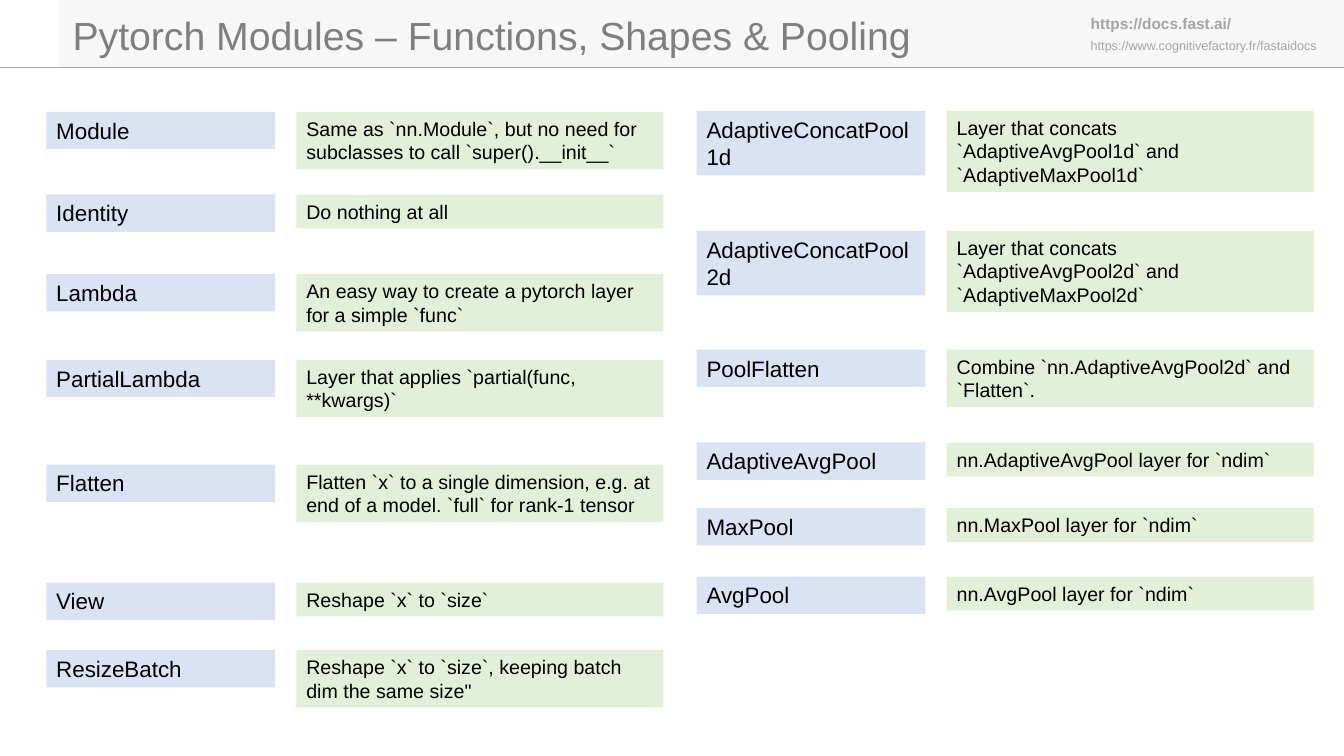
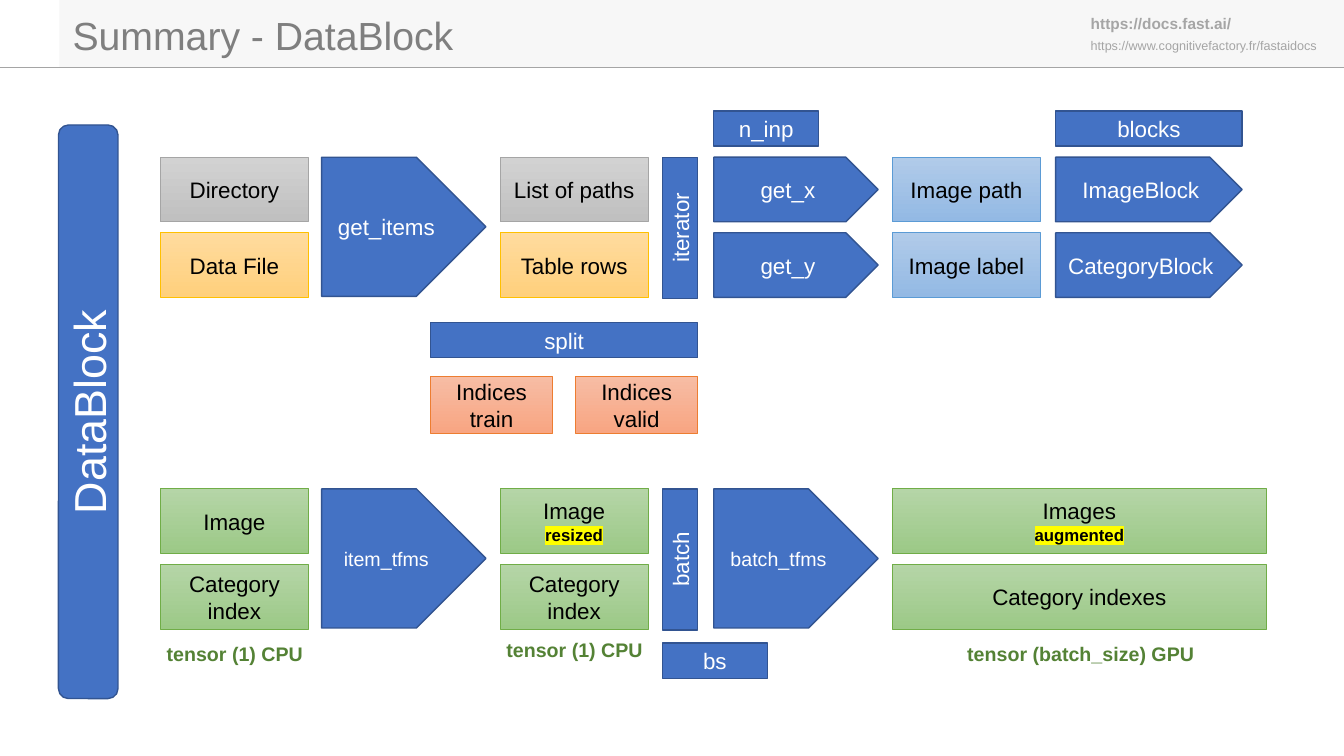
from collections import namedtuple

from lxml.etree import SubElement
from pptx import Presentation
from pptx.dml.color import RGBColor
from pptx.enum.shapes import MSO_CONNECTOR, MSO_SHAPE
from pptx.enum.text import MSO_ANCHOR, MSO_AUTO_SIZE, PP_ALIGN
from pptx.oxml.ns import qn
from pptx.util import Inches, Pt

FONT = "Arial"
BLACK = RGBColor(0x00, 0x00, 0x00)
WHITE = RGBColor(0xFF, 0xFF, 0xFF)
BAND = RGBColor(0xF7, 0xF7, 0xF7)
GRAY = RGBColor(0xA5, 0xA5, 0xA5)
TITLE = RGBColor(0x7F, 0x7F, 0x7F)
PALE = RGBColor(0xDA, 0xE3, 0xF3)
MINT = RGBColor(0xE2, 0xF0, 0xD9)
MOSS = RGBColor(0x54, 0x82, 0x35)
BLUE = RGBColor(0x44, 0x72, 0xC4)
NAVY = RGBColor(0x32, 0x54, 0x91)

Look = namedtuple("Look", "top base edge width ink")
STEP = Look(BLUE, None, NAVY, 1, WHITE)
FILES = Look(RGBColor(0xD2, 0xD2, 0xD2), RGBColor(0xC0, 0xC0, 0xC0), GRAY, 0.5, BLACK)
TABLE = Look(RGBColor(0xFF, 0xDB, 0x9E), RGBColor(0xFF, 0xD0, 0x7C),
             RGBColor(0xFF, 0xC0, 0x00), 0.5, BLACK)
INPUT = Look(RGBColor(0xB1, 0xCB, 0xE9), RGBColor(0x93, 0xB9, 0xE4),
             RGBColor(0x5B, 0x9B, 0xD5), 0.5, BLACK)
INDEX = Look(RGBColor(0xF7, 0xBD, 0xA5), RGBColor(0xF8, 0xA5, 0x82),
             RGBColor(0xED, 0x7D, 0x31), 0.5, BLACK)
TENSOR = Look(RGBColor(0xB5, 0xD5, 0xA7), RGBColor(0x9C, 0xC9, 0x87),
              RGBColor(0x70, 0xAD, 0x47), 0.5, BLACK)
PLAIN = MSO_SHAPE.RECTANGLE
ARROW = MSO_SHAPE.PENTAGON

SHAPES = [
    (1.11, "Module", 1,
     "Same as `nn.Module`, but no need for subclasses to call `super().__init__`", 2),
    (1.93, "Identity", 1, "Do nothing at all", 1),
    (2.72, "Lambda", 1, "An easy way to create a pytorch layer for a simple `func`", 2),
    (3.57, "PartialLambda", 1, "Layer that applies `partial(func, **kwargs)`", 2),
    (4.61, "Flatten", 1,
     "Flatten `x` to a single dimension, e.g. at end of a model. "
     "`full` for rank-1 tensor", 2),
    (5.78, "View", 1, "Reshape `x` to `size`", 1),
    (6.45, "ResizeBatch", 1,
     "Reshape `x` to `size`, keeping batch dim the same size\"", 2),
]
POOLS = [
    (1.1, "AdaptiveConcatPool1d", 2,
     "Layer that concats `AdaptiveAvgPool1d` and `AdaptiveMaxPool1d`", 3),
    (2.29, "AdaptiveConcatPool2d", 2,
     "Layer that concats `AdaptiveAvgPool2d` and `AdaptiveMaxPool2d`", 3),
    (3.47, "PoolFlatten", 1, "Combine `nn.AdaptiveAvgPool2d` and `Flatten`.", 2),
    (4.39, "AdaptiveAvgPool", 1, "nn.AdaptiveAvgPool layer for `ndim`", 1),
    (5.04, "MaxPool", 1, "nn.MaxPool layer for `ndim`", 1),
    (5.72, "AvgPool", 1, "nn.AvgPool layer for `ndim`", 1),
]


def place(at):
    """Turn left, top, width and height in inches into lengths."""
    return [Inches(part) for part in at]


def style(para, size, ink, bold=False, align=PP_ALIGN.LEFT):
    """Set the font and alignment of one paragraph."""
    para.alignment = align
    para.font.name = FONT
    para.font.size = Pt(size)
    para.font.bold = bold
    para.font.color.rgb = ink


def label(slide, at, text, size, ink, bold=False, align=PP_ALIGN.LEFT, wrap=True):
    """Add a text box of one paragraph."""
    item = slide.shapes.add_textbox(*place(at))
    item.text_frame.word_wrap = wrap
    item.text_frame.text = text
    style(item.text_frame.paragraphs[0], size, ink, bold, align)
    return item


def panel(slide, at, fill, text="", size=14):
    """Add a flat rectangle with text at its top left."""
    item = slide.shapes.add_shape(PLAIN, *place(at))
    item.shadow.inherit = False
    item.fill.solid()
    item.fill.fore_color.rgb = fill
    item.line.fill.background()
    frame = item.text_frame
    frame.vertical_anchor = MSO_ANCHOR.TOP
    frame.text = text
    style(frame.paragraphs[0], size, BLACK)
    return item


def mark(para):
    """Put a yellow highlight behind a paragraph's runs."""
    for run in para.runs:
        light = SubElement(run._r.get_or_add_rPr(), qn("a:highlight"))
        SubElement(light, qn("a:srgbClr"), val="FFFF00")


def box(slide, at, text, look=STEP, kind=PLAIN, size=16, turn=0, tag=None):
    """Add an outlined shape with centred text and an optional marked tag."""
    item = slide.shapes.add_shape(kind, *place(at))
    item.shadow.inherit = False
    item.rotation = turn
    if look.base is None:
        item.fill.solid()
        item.fill.fore_color.rgb = look.top
    else:
        item.fill.gradient()
        item.fill.gradient_angle = 270
        for stop, ink in zip(item.fill.gradient_stops, (look.top, look.base)):
            stop.color.rgb = ink
    item.line.color.rgb = look.edge
    item.line.width = Pt(look.width)
    frame = item.text_frame
    frame.vertical_anchor = MSO_ANCHOR.MIDDLE
    frame.text = text
    style(frame.paragraphs[0], size, look.ink, align=PP_ALIGN.CENTER)
    if tag:
        para = frame.add_paragraph()
        para.text = tag
        style(para, 12, look.ink, True, PP_ALIGN.CENTER)
        mark(para)
    return item


def header(layout, slide):
    """Build the band, rule and links, and move them to the layout."""
    tree = layout.shapes.element
    for holder in list(layout.placeholders)[1:]:
        tree.remove(holder.element)
    band = panel(slide, (0.59, 0, 12.74, 0.67), BAND)
    rule = slide.shapes.add_connector(
        MSO_CONNECTOR.STRAIGHT, *place((0, 0.67, 13.33, 0.67)))
    rule.line.color.rgb = GRAY
    rule.line.width = Pt(0.5)
    SubElement(rule.element.spPr, qn("a:effectLst"))
    site = label(slide, (10.72, 0.33, 2.7, 0.25),
                 "https://www.cognitivefactory.fr/fastaidocs", 9, GRAY)
    docs = label(slide, (10.72, 0.09, 2.67, 0.29),
                 "https://docs.fast.ai/", 11, GRAY, True)
    for part in (band, rule, site, docs):
        tree.append(part.element)


def head(slide, text):
    """Place and format the slide title."""
    title = slide.shapes.title
    title.left, title.top, title.width, title.height = place((0.62, 0.06, 10, 0.57))
    title.text_frame.text = text
    title.text_frame.auto_size = MSO_AUTO_SIZE.NONE
    title.text_frame.vertical_anchor = MSO_ANCHOR.TOP
    style(title.text_frame.paragraphs[0], 28, TITLE)


def terms(slide, left, rows):
    """List names on the left with their meaning beside them."""
    for top, name, high, note, deep in rows:
        panel(slide, (left, top, 2.27, 0.1 + 0.27 * high), PALE, name, 16)
        panel(slide, (left + 2.48, top, 3.64, 0.1 + 0.235 * deep), MINT, note)


def pair(slide, left, top, wide, names, looks, kind=PLAIN, tag=None):
    """Stack two boxes of one size."""
    for row, (name, look) in enumerate(zip(names, looks)):
        box(slide, (left, top + 0.75 * row, wide, 0.64), name, look, kind,
            tag=None if row else tag)


def bar(slide, left, top, wide, high, text, kind=PLAIN, size=16):
    """Add an upright step whose text reads upwards."""
    at = (left + (wide - high) / 2, top + (high - wide) / 2, high, wide)
    box(slide, at, text, kind=kind, size=size, turn=270)


def load(slide, left, top):
    """Draw the way from files to inputs and labels."""
    pair(slide, left, top, 1.47, ("Directory", "Data File"), (FILES, TABLE))
    box(slide, (left + 1.6, top, 1.63, 1.38), "get_items", kind=ARROW)
    pair(slide, left + 3.37, top, 1.47, ("List of paths", "Table rows"), (FILES, TABLE))
    bar(slide, left + 4.98, top, 0.35, 1.4, "iterator")
    box(slide, (left + 5.49, top - 0.46, 1.04, 0.35), "n_inp")
    pair(slide, left + 5.49, top, 1.63, ("get_x", "get_y"), (STEP, STEP), ARROW)
    pair(slide, left + 7.26, top, 1.47, ("Image path", "Image label"), (INPUT, INPUT))
    box(slide, (left + 8.88, top - 0.46, 1.85, 0.35), "blocks")
    pair(slide, left + 8.88, top, 1.85, ("ImageBlock", "CategoryBlock"),
         (STEP, STEP), ARROW)


def split(slide, left, top):
    """Draw the split into train and valid indices."""
    box(slide, (left, top, 2.65, 0.35), "split")
    for col, name in enumerate(("Indices train", "Indices valid")):
        box(slide, (left + 1.44 * col, top + 0.53, 1.21, 0.57), name, INDEX)


def feed(slide, left, top):
    """Draw the way from single tensors to augmented batches."""
    looks = (TENSOR, TENSOR)
    names = ("Image", "Category index")
    pair(slide, left, top, 1.47, names, looks)
    box(slide, (left + 1.6, top, 1.63, 1.38), "item_tfms", kind=ARROW, size=14)
    pair(slide, left + 3.37, top, 1.47, names, looks, tag="resized")
    bar(slide, left + 4.98, top, 0.35, 1.4, "batch")
    box(slide, (left + 4.98, top + 1.53, 1.04, 0.35), "bs")
    box(slide, (left + 5.49, top, 1.63, 1.38), "batch_tfms", kind=ARROW, size=14)
    pair(slide, left + 7.26, top, 3.71, ("Images", "Category indexes"), looks,
         tag="augmented")
    for shift, drop, wide, text in (
            (-0.04, 1.47, 1.56, "tensor (1) CPU"),
            (3.33, 1.43, 1.56, "tensor (1) CPU"),
            (7.9, 1.47, 2.46, "tensor (batch_size) GPU")):
        label(slide, (left + shift, top + drop, wide, 0.34), text, 14, MOSS, True,
              PP_ALIGN.CENTER, False)


def main():
    """Build and save both slides."""
    deck = Presentation()
    deck.slide_width, deck.slide_height = Inches(13.33), Inches(7.5)
    layout = deck.slide_layouts[5]

    pools = deck.slides.add_slide(layout)
    header(layout, pools)
    head(pools, "Pytorch Modules – Functions, Shapes & Pooling")
    terms(pools, 0.46, SHAPES)
    terms(pools, 6.91, POOLS)

    flow = deck.slides.add_slide(layout)
    head(flow, "Summary - DataBlock")
    bar(flow, 0.58, 1.24, 0.59, 5.69, "DataBlock", MSO_SHAPE.ROUNDED_RECTANGLE, 32)
    load(flow, 1.59, 1.56)
    split(flow, 4.27, 3.2)
    feed(flow, 1.59, 4.85)
    deck.save("out.pptx")


if __name__ == "__main__":
    main()
